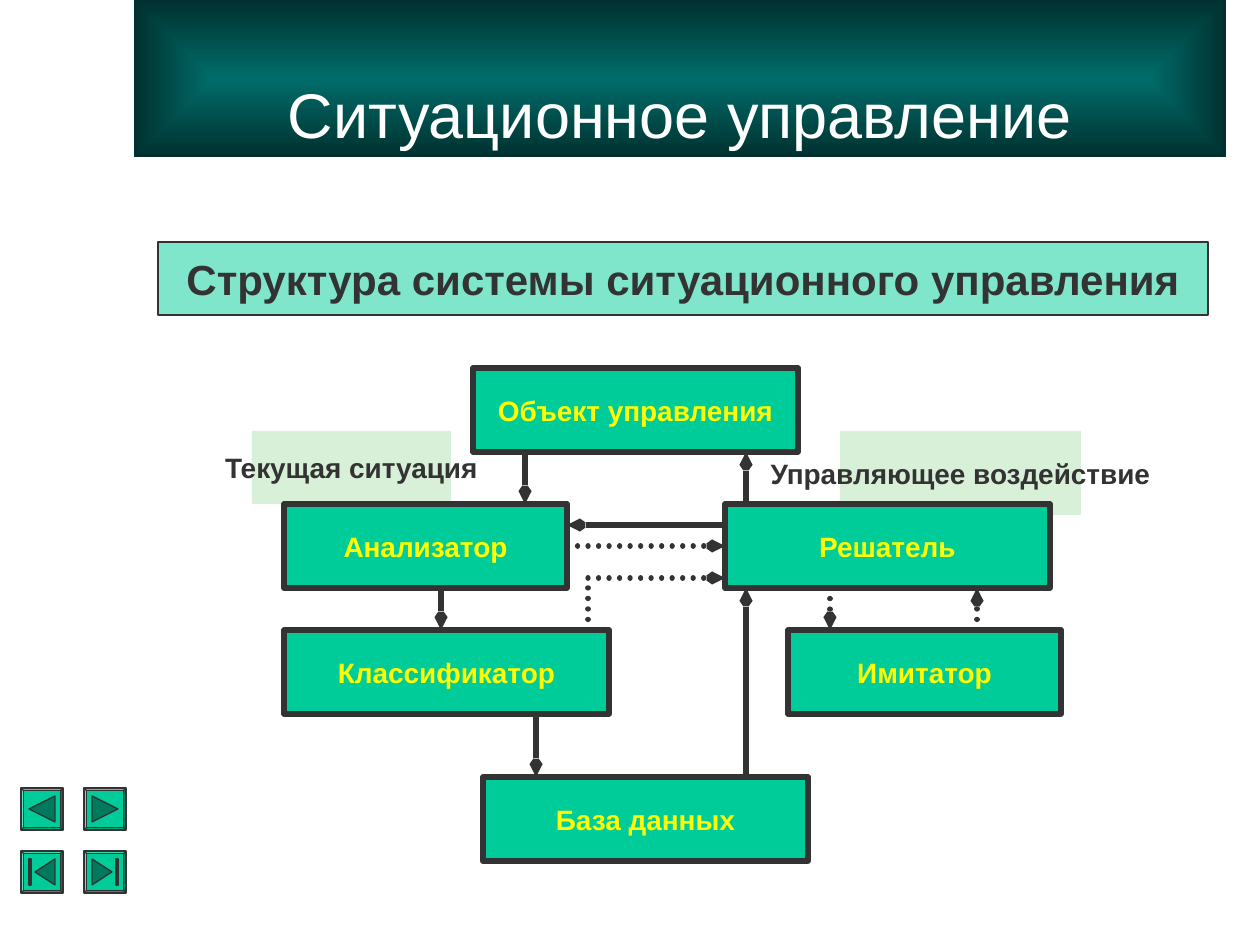
from lxml.etree import SubElement
from pptx import Presentation
from pptx.dml.color import RGBColor
from pptx.enum.dml import MSO_LINE
from pptx.enum.shapes import MSO_CONNECTOR, MSO_SHAPE
from pptx.enum.text import MSO_ANCHOR, MSO_AUTO_SIZE, PP_ALIGN
from pptx.oxml.ns import qn
from pptx.util import Emu, Pt

SCALE = 914400 / 126  # EMU in one px
COLORS = {
    "title_center": "006C69",
    "title_edge": "003130",
    "title_text": "FFFFFF",
    "block": "00CC99",
    "block_text": "FFFF00",
    "ink": "333333",
    "label": "B3E1B3",
    "icon": "007A5C",
}

# text, (left, top, width, height)
LOWER_BLOCKS = [
    ("Объект управления", (473, 368, 325, 84)),
    ("Классификатор", (284, 630, 325, 84)),
    ("Имитатор", (788, 630, 273, 84)),
    ("База данных", (483, 777, 325, 84)),
]
ANALYZER = ("Анализатор", (284, 504, 283, 84))
SOLVER = ("Решатель", (725, 504, 325, 84))
LABELS = [
    ("Текущая ситуация", (252, 431, 199, 73)),
    ("Управляющее воздействие", (840, 431, 241, 84)),
]

# start and end points
SOLID_ARROWS = [
    (525, 452, 525, 504),
    (746, 504, 746, 452),
    (441, 588, 441, 630),
    (536, 714, 536, 777),
    (746, 777, 746, 588),
    (725, 525, 567, 525),
]
DOTTED_ARROWS = [
    (588, 578, 725, 578),
    (830, 588, 830, 630),
    (977, 630, 977, 588),
]
ANALYZER_TO_SOLVER = (567, 546, 725, 546)
CLASSIFIER_RISER = (588, 630, 588, 578)

BUTTON_SIZE = 42
BUTTON_LEFTS = (21, 84)
BUTTON_TOPS = (788, 851)
# outlines inside a button that points left
STEP_ICON = [[(8, 21), (34, 8), (34, 34)]]
END_ICON = [
    [(14, 21), (34, 8), (34, 34)],
    [(8, 8), (10, 8), (10, 34), (8, 34)],
]


def px(value):
    return Emu(round(value * SCALE))


def rgb(name):
    return RGBColor.from_string(COLORS[name])


def write(shape, text, color, **font_values):
    frame = shape.text_frame
    frame.text = text
    paragraph = frame.paragraphs[0]
    paragraph.alignment = PP_ALIGN.CENTER
    font = paragraph.runs[0].font
    for name, value in {"name": "Arial", **font_values}.items():
        setattr(font, name, value)
    font.color.rgb = rgb(color)


def paint(shape, fill, line_width=None, alpha=None):
    """Fill and outline a shape; alpha is the opacity in percent."""
    shape.shadow.inherit = False
    shape.fill.solid()
    shape.fill.fore_color.rgb = rgb(fill)
    if alpha:
        color = shape.element.spPr.find(f"{qn('a:solidFill')}/{qn('a:srgbClr')}")
        SubElement(color, qn("a:alpha"), val=str(alpha * 1000))
    if line_width:
        shape.line.color.rgb = rgb("ink")
        shape.line.width = Pt(line_width)
    else:
        shape.line.fill.background()


def add_box(page, text, bounds, fill="block", color="block_text", size=16,
            line_width=None, alpha=None):
    box = page.shapes.add_shape(MSO_SHAPE.RECTANGLE, *map(px, bounds))
    paint(box, fill, line_width, alpha)
    box.text_frame.word_wrap = False
    box.text_frame.vertical_anchor = MSO_ANCHOR.MIDDLE
    write(box, text, color, size=Pt(size), bold=True)
    return box


def add_line(page, points, dotted=False, arrow=True):
    connector = page.shapes.add_connector(MSO_CONNECTOR.STRAIGHT, *map(px, points))
    connector.line.color.rgb = rgb("ink")
    connector.line.width = Pt(3)
    properties = connector.element.spPr
    line = properties.find(qn("a:ln"))
    if dotted:
        connector.line.dash_style = MSO_LINE.ROUND_DOT
        line.set("cap", "rnd")
    if arrow:
        SubElement(line, qn("a:tailEnd"), type="arrow", w="sm", len="med")
    SubElement(properties, qn("a:effectLst"))
    return connector


def format_title(title):
    bounds = {"left": 134, "top": 0, "width": 1092, "height": 157}
    for name, value in bounds.items():
        setattr(title, name, px(value))
    title.fill.gradient()
    stops = zip(title.fill.gradient_stops, (0, 1), ("title_center", "title_edge"))
    for stop, position, color in stops:
        stop.position = position
        stop.color.rgb = rgb(color)
    gradient = title.element.spPr.find(qn("a:gradFill"))
    gradient.remove(gradient.find(qn("a:lin")))
    center = SubElement(gradient, qn("a:path"), {"path": "rect"})
    middle = dict.fromkeys("ltrb", "50000")
    SubElement(center, qn("a:fillToRect"), middle)
    title.text_frame.auto_size = MSO_AUTO_SIZE.NONE
    title.text_frame.vertical_anchor = MSO_ANCHOR.BOTTOM
    write(title, "Ситуационное управление", "title_text", size=Pt(36))


def add_button(page, left, top, outlines, mirrored):
    bounds = (left, top, BUTTON_SIZE, BUTTON_SIZE)
    button = page.shapes.add_shape(MSO_SHAPE.BEVEL, *map(px, bounds))
    button.adjustments[0] = 0.06
    paint(button, "block", 0.75)
    builder = None
    for outline in outlines:
        points = [(left + (BUTTON_SIZE - x if mirrored else x), top + y)
                  for x, y in outline]
        if builder:
            builder.move_to(*points[0])
        else:
            builder = page.shapes.build_freeform(*points[0], scale=SCALE)
        builder.add_line_segments(points[1:], close=True)
    paint(builder.convert_to_shape(), "icon", 0.75)


def add_diagram(page):
    for text, bounds in LOWER_BLOCKS:
        add_box(page, text, bounds, line_width=3)
    for points in SOLID_ARROWS:
        add_line(page, points)
    for points in DOTTED_ARROWS:
        add_line(page, points, dotted=True)
    add_line(page, CLASSIFIER_RISER, dotted=True, arrow=False)
    exchange = add_line(page, ANALYZER_TO_SOLVER, dotted=True)
    for text, bounds in LABELS:
        add_box(page, text, bounds, fill="label", color="ink", alpha=50)
    analyzer = add_box(page, *ANALYZER, line_width=3)
    solver = add_box(page, *SOLVER, line_width=3)
    exchange.begin_connect(analyzer, 3)
    exchange.end_connect(solver, 1)


def main():
    deck = Presentation()
    deck.slide_width, deck.slide_height = px(1260), px(945)
    page = deck.slides.add_slide(deck.slide_layouts[5])
    format_title(page.shapes.title)
    add_diagram(page)
    add_box(page, "Структура системы ситуационного управления",
            (158, 242, 1050, 73), color="ink", size=24, line_width=1, alpha=50)
    for top, icon in zip(BUTTON_TOPS, (STEP_ICON, END_ICON)):
        for left, mirrored in zip(BUTTON_LEFTS, (False, True)):
            add_button(page, left, top, icon, mirrored)
    deck.save("out.pptx")


if __name__ == "__main__":
    main()
